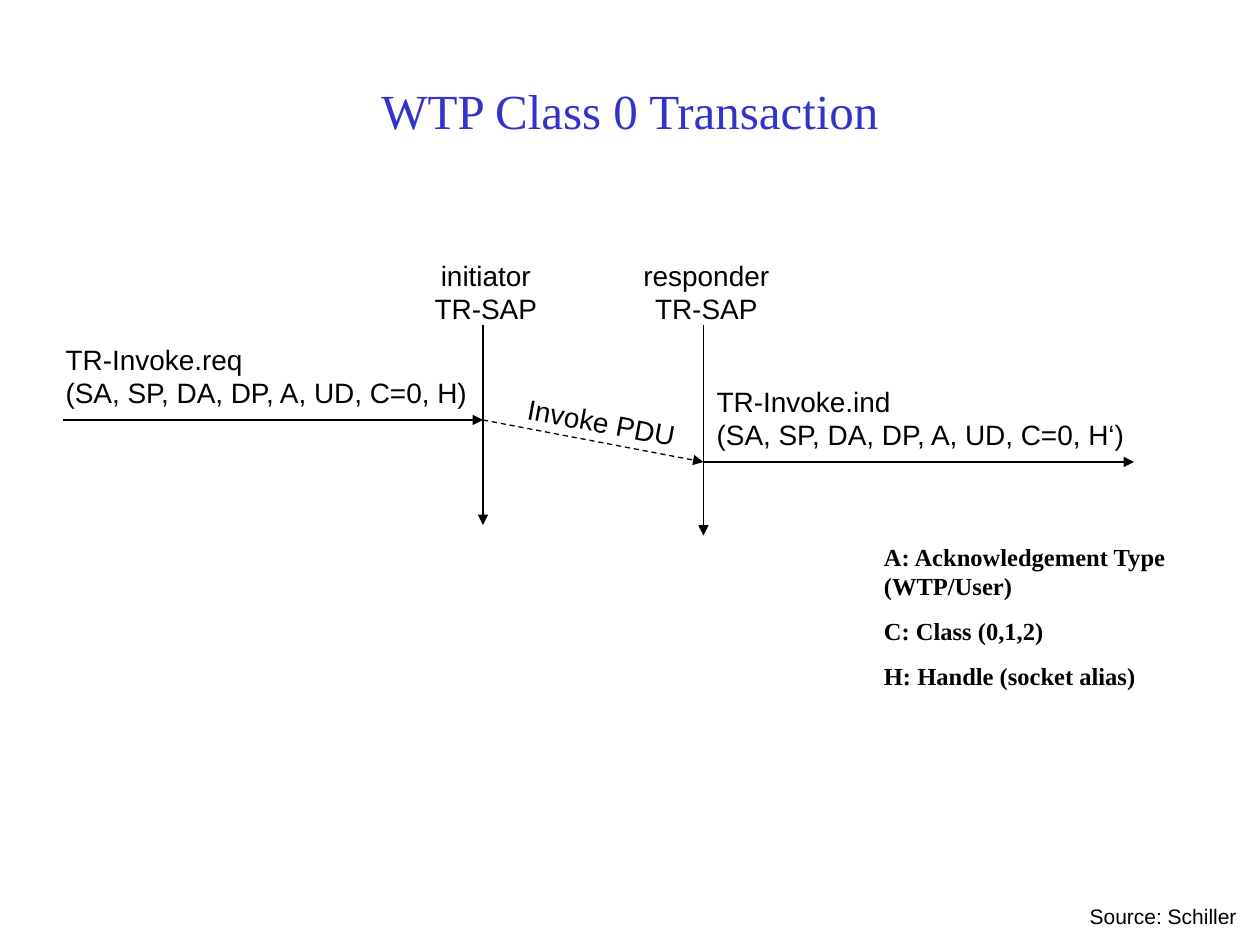
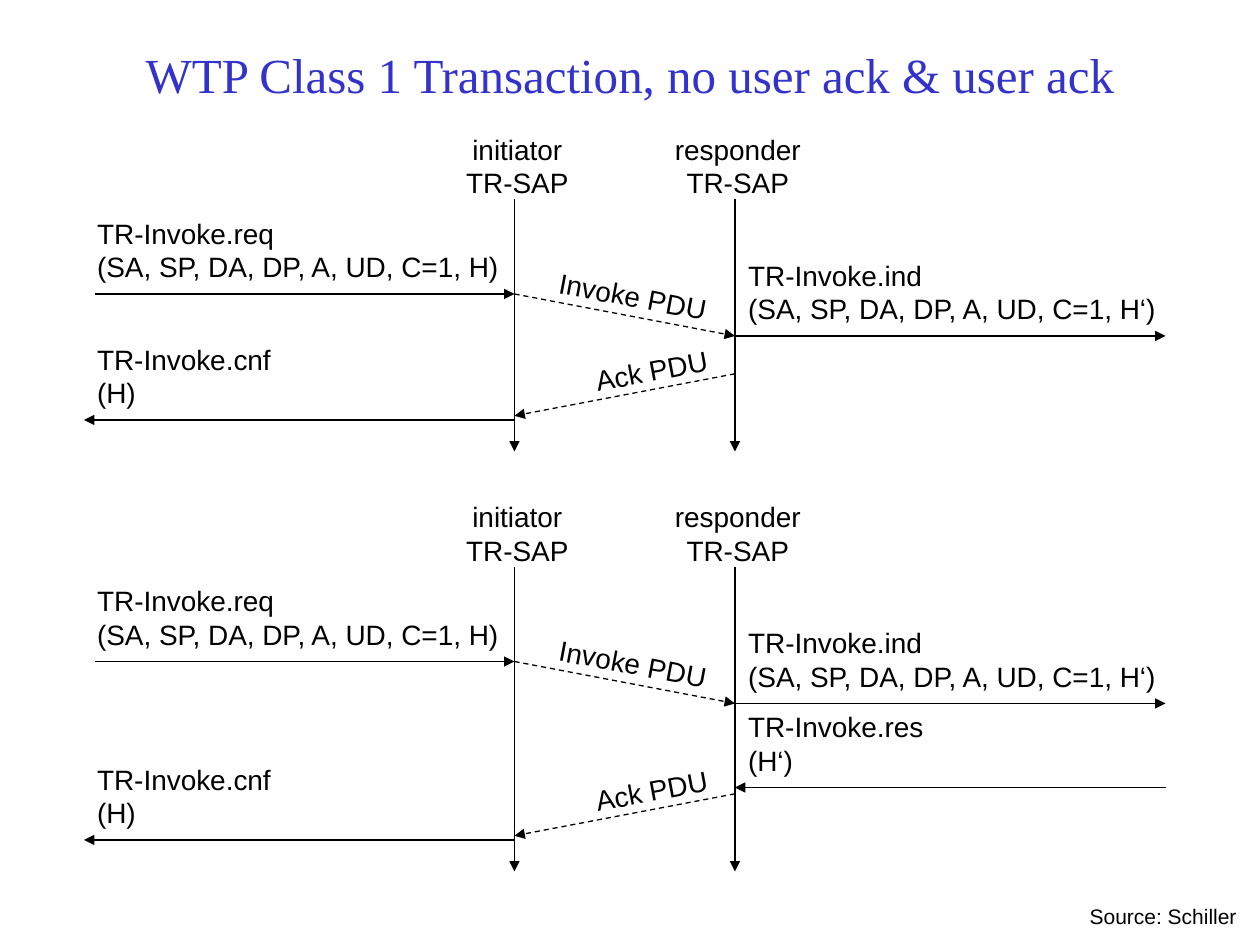
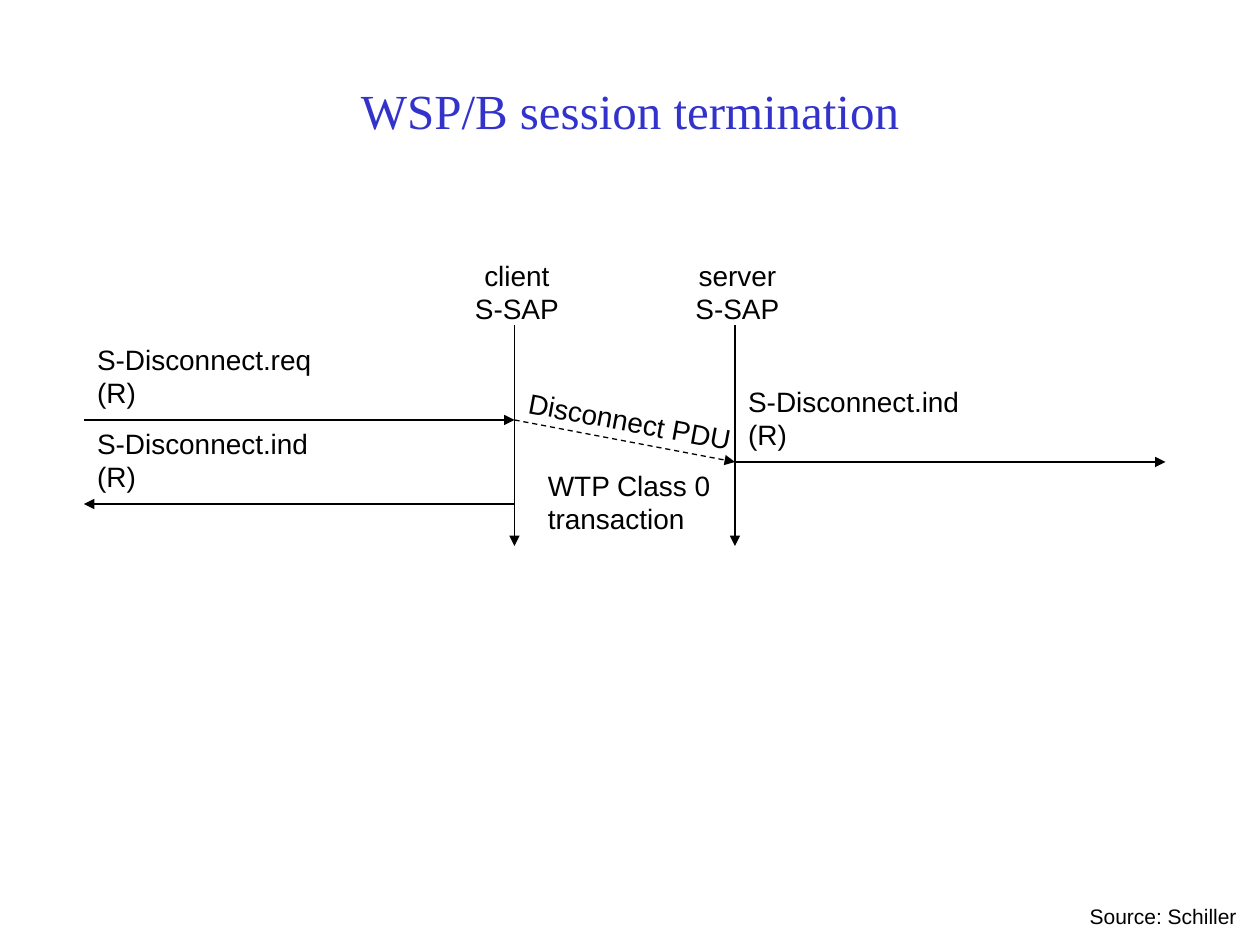
"""Build three slides of WAP transaction sequence diagrams."""
from lxml import etree
from pptx import Presentation
from pptx.dml.color import RGBColor
from pptx.enum import dml, shapes, text
from pptx.oxml import ns
from pptx.util import Pt

BLUE = RGBColor(0x33, 0x33, 0xCC)
BLACK = RGBColor(0, 0, 0)
SANS, SERIF = "Arial", "Times New Roman"
LABEL_RISE = 48
REACH = 246
SLOPE = 24
TILT = 10.6


def add_text(page, lines, left, top, width, size=16, font=SANS, color=BLACK,
             align=text.PP_ALIGN.LEFT):
    height = 7.2 + 1.2 * size * len(lines)
    box = page.shapes.add_textbox(Pt(left), Pt(top), Pt(width), Pt(height))
    frame = box.text_frame
    frame.word_wrap = False
    frame.auto_size = text.MSO_AUTO_SIZE.SHAPE_TO_FIT_TEXT
    frame.text = "\n".join(lines)
    for para in frame.paragraphs:
        para.alignment = align
        para.font.size = Pt(size)
        para.font.name = font
        para.font.color.rgb = color
    return box


def add_arrow(page, x1, y1, x2, y2, dashed=False):
    arrow = page.shapes.add_connector(
        shapes.MSO_CONNECTOR.STRAIGHT, Pt(x1), Pt(y1), Pt(x2), Pt(y2))
    arrow.line.color.rgb = BLACK
    arrow.line.width = Pt(0.75)
    if dashed:
        arrow.line.dash_style = dml.MSO_LINE.DASH
    outline = arrow.line._get_or_add_ln()
    etree.SubElement(outline, ns.qn("a:tailEnd"), type="triangle")
    etree.SubElement(arrow._element.spPr, ns.qn("a:effectLst"))


TR_NAMES = [("initiator", 74, 1.6), ("responder", 88, 1.6)]
S_NAMES = [("client", 64, 1.4), ("server", 64, 1.4)]
PARAMETERS = "(SA, SP, DA, DP, A, UD, C={}, {})"


# Calls: lines, label width, side, inward, offset from top, reach.
# PDUs: name, label width, forward, start offset, label gap, label offset.
invoke_calls = {
    level: [
        (["TR-Invoke.req", PARAMETERS.format(level, "H")], 250, 0, True, 96, 240),
        (["TR-Invoke.ind", PARAMETERS.format(level, "H‘")], 253, 1, False, 120, REACH),
    ]
    for level in (0, 1)
}
confirm = ["TR-Invoke.cnf", "(H)"]
invoke_pdu = ("Invoke PDU", 100, True, 96, 18, 84)

slides = [
    ("WTP Class 0 Transaction", 18, 90, [
        (276, 144, (156, 162), "TR-SAP", TR_NAMES, invoke_calls[0], [invoke_pdu]),
    ]),
    ("WTP Class 1 Transaction, no user ack & user ack", 6, 72, [
        (294, 72, (186, 186), "TR-SAP", TR_NAMES,
         invoke_calls[1] + [(confirm, 116, 0, False, 168, REACH)],
         [invoke_pdu, ("Ack PDU", 80, False, 141.6, 38.8, 126.3)]),
        (294, 282, (216, 216), "TR-SAP", TR_NAMES,
         invoke_calls[1] + [
             (["TR-Invoke.res", "(H‘)"], 116, 1, True, 168, REACH),
             (confirm, 116, 0, False, 198, REACH)],
         [invoke_pdu, ("Ack PDU", 80, False, 171.6, 38.8, 156.3)]),
    ]),
    ("WSP/B session termination", 18, 90, [
        (294, 144, (168, 168), "S-SAP", S_NAMES, [
            (["S-Disconnect.req", "(R)"], 140, 0, True, 96, REACH),
            (["S-Disconnect.ind", "(R)"], 140, 1, False, 120, REACH),
            (["S-Disconnect.ind", "(R)"], 140, 0, False, 144, REACH)],
         [("Disconnect PDU", 134, True, 96, 0.2, 83.8)]),
    ]),
]

deck = Presentation()
deck.slide_width, deck.slide_height = Pt(720), Pt(540)
pages = []
for title, title_top, title_height, diagrams in slides:
    page = deck.slides.add_slide(deck.slide_layouts[6])
    pages.append(page)
    heading = add_text(page, [title], 54, title_top, 612, 28, SERIF, BLUE,
                       text.PP_ALIGN.CENTER)
    heading.text_frame.auto_size = text.MSO_AUTO_SIZE.NONE
    heading.text_frame.word_wrap = True
    heading.text_frame.vertical_anchor = text.MSO_ANCHOR.MIDDLE
    heading.height = Pt(title_height)

    for initiator, top, ends, sap, names, calls, pdus in diagrams:
        lifelines = initiator, initiator + 126
        for x, end, (name, width, shift) in zip(lifelines, ends, names):
            add_arrow(page, x, top + 42, x, top + end)
            add_text(page, [name, sap], x + shift - width / 2, top, width,
                     align=text.PP_ALIGN.CENTER)
        for lines, width, side, inward, offset, reach in calls:
            inner, y = lifelines[side], top + offset
            outer = inner + reach if side else inner - reach
            start, end = (outer, inner) if inward else (inner, outer)
            add_arrow(page, start, y, end, y)
            label_left = inner + 0.4 if side else inner - REACH + 0.4
            add_text(page, lines, label_left, y - LABEL_RISE, width)
        for name, width, forward, offset, gap, label_offset in pdus:
            start, end = lifelines if forward else lifelines[::-1]
            add_arrow(page, start, top + offset, end, top + offset + SLOPE, True)
            label = add_text(page, [name], initiator + gap, top + label_offset, width)
            label.rotation = TILT if forward else -TILT

    add_text(page, ["Source: Schiller"], 615.6, 512.6, 101, 12)

legend = add_text(pages[0], [
    "A: Acknowledgement Type (WTP/User)",
    "C: Class (0,1,2)",
    "H: Handle (socket alias)",
], 498, 306, 204, 14, SERIF)
legend.text_frame.word_wrap = True
legend.height = Pt(92)
for index, para in enumerate(legend.text_frame.paragraphs):
    para.font.bold = True
    if index:
        para.space_before = Pt(8.8)

add_text(pages[2], ["WTP Class 0", "transaction"], 306, 264, 109)

deck.save("out.pptx")
